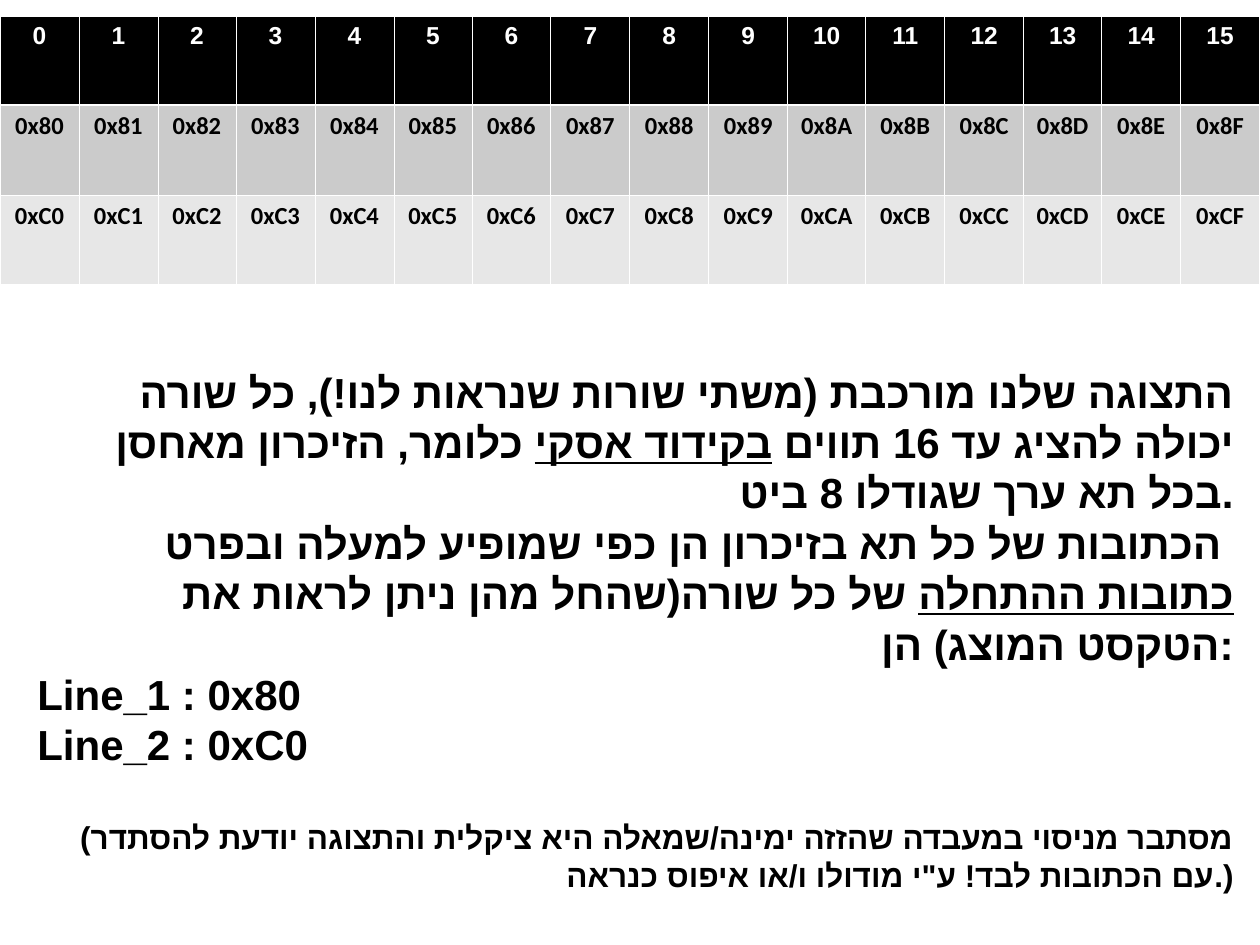
from dataclasses import dataclass
from itertools import pairwise

from lxml import etree
from pptx import Presentation
from pptx import util as u
from pptx.dml import color
from pptx.enum import text
from pptx.oxml import ns


@dataclass(frozen=True)
class Theme:
    """Colours, fonts, type sizes and border widths of the slide."""
    ink: str = "000000"
    paper: str = "FFFFFF"
    dark_band: str = "CBCBCB"
    light_band: str = "E7E7E7"
    body_font: str = "Arial"
    table_font: str = "Calibri"
    body: int = 24
    note: int = 18
    cell: int = 14
    thin: float = 0.45
    thick: float = 1.47


@dataclass(frozen=True)
class Span:
    """A stretch of text in one style."""
    words: str
    bold: bool = True
    underline: bool = False


@dataclass(frozen=True)
class Paragraph:
    """A paragraph of the explanation."""
    spans: tuple[Span, ...]
    size: int
    align: text.PP_ALIGN = text.PP_ALIGN.RIGHT
    space_before: int = 0


@dataclass(frozen=True)
class Row:
    """A row of the display memory table."""
    labels: tuple[str, ...]
    fill: str
    ink: str
    top: float
    bottom: float


THEME = Theme()
COLUMNS = 16
PAGE_WIDTH, PAGE_HEIGHT = 1260, 945
TABLE_TOP, TABLE_HEIGHT = 16, 268

ROWS = (
    Row(tuple(str(i) for i in range(COLUMNS)), THEME.ink, THEME.paper, THEME.thin, THEME.thick),
    Row(tuple(f"0x{0x80 + i:X}" for i in range(COLUMNS)), THEME.dark_band, THEME.ink,
        THEME.thick, THEME.thin),
    Row(tuple(f"0x{0xC0 + i:X}" for i in range(COLUMNS)), THEME.light_band, THEME.ink,
        THEME.thin, THEME.thin),
)

EXPLANATION = (
    Paragraph((
        Span("התצוגה שלנו מורכבת (משתי שורות שנראות לנו!), כל שורה יכולה להציג עד 16 תווים "),
        Span("בקידוד אסקי", underline=True),
        Span(" ", bold=False),
        Span("כלומר, הזיכרון מאחסן בכל תא ערך שגודלו 8 ביט."),
    ), THEME.body),
    Paragraph((Span("הכתובות של כל תא בזיכרון הן כפי שמופיע למעלה ובפרט "),), THEME.body),
    Paragraph((
        Span("כתובות ההתחלה", underline=True),
        Span(" של כל שורה(שהחל מהן ניתן לראות את הטקסט המוצג) הן:"),
    ), THEME.body),
    Paragraph((Span("Line_1 : 0x80"),), THEME.body, text.PP_ALIGN.LEFT),
    Paragraph((Span("Line_2 : 0xC0"),), THEME.body, text.PP_ALIGN.LEFT),
    Paragraph((
        Span("(מסתבר מניסוי במעבדה שהזזה ימינה/שמאלה היא ציקלית והתצוגה יודעת להסתדר "
             "עם הכתובות לבד! ע\"י מודולו ו/או איפוס כנראה.)"),
    ), THEME.note, space_before=28),
)


def px(length: int) -> u.Emu:
    """Turn pixels into EMU."""
    return u.Emu(round(length * 914400 / 126))


def split(total: int, count: int) -> list[int]:
    """Divide a length into nearly equal whole parts."""
    edges = [round(total * i / count) for i in range(count + 1)]
    return [end - start for start, end in pairwise(edges)]


def add_span(para, span: Span, size: int, font: str, ink: str) -> None:
    """Add one styled run, with Arial for complex script."""
    run = para.add_run()
    run.text = span.words
    run.font.name = font
    run.font.size = u.Pt(size)
    run.font.bold = span.bold
    run.font.underline = span.underline
    run.font.color.rgb = color.RGBColor.from_string(ink)
    etree.SubElement(run.font._element, ns.qn("a:cs"), typeface=THEME.body_font)


def add_border(cell, side: str, width: float) -> None:
    """Draw one side of a cell in the paper colour."""
    line = etree.SubElement(cell._tc.get_or_add_tcPr(), ns.qn(f"a:ln{side}"),
                            w=str(u.Pt(width)))
    fill = etree.SubElement(line, ns.qn("a:solidFill"))
    etree.SubElement(fill, ns.qn("a:srgbClr"), val=THEME.paper)


def fill_cell(cell, label: str, row: Row) -> None:
    """Set the borders, fill and label of a cell."""
    for side, width in zip("LRTB", (THEME.thin, THEME.thin, row.top, row.bottom)):
        add_border(cell, side, width)
    cell.fill.solid()
    cell.fill.fore_color.rgb = color.RGBColor.from_string(row.fill)
    para = cell.text_frame.paragraphs[0]
    para.alignment = text.PP_ALIGN.CENTER
    para._p.get_or_add_pPr().set("rtl", "1")
    add_span(para, Span(label), THEME.cell, THEME.table_font, row.ink)


def add_memory_table(page, rows: tuple[Row, ...]) -> None:
    """Draw the table of display addresses."""
    table = page.shapes.add_table(len(rows), COLUMNS, px(0), px(TABLE_TOP),
                                  px(PAGE_WIDTH), px(TABLE_HEIGHT)).table
    for column, width in zip(table.columns, split(PAGE_WIDTH, COLUMNS)):
        column.width = px(width)
    for line, height, row in zip(table.rows, split(TABLE_HEIGHT, len(rows)), rows):
        line.height = px(height)
        for cell, label in zip(line.cells, row.labels):
            fill_cell(cell, label, row)


def add_explanation(page, paragraphs: tuple[Paragraph, ...]) -> None:
    """Write the explanation under the table."""
    frame = page.shapes.add_textbox(px(25), px(360), px(1221), px(580)).text_frame
    frame.word_wrap = True
    frame.auto_size = text.MSO_AUTO_SIZE.SHAPE_TO_FIT_TEXT
    for index, paragraph in enumerate(paragraphs):
        para = frame.add_paragraph() if index else frame.paragraphs[0]
        para.alignment = paragraph.align
        if paragraph.space_before:
            para.space_before = u.Pt(paragraph.space_before)
        for span in paragraph.spans:
            add_span(para, span, paragraph.size, THEME.body_font, THEME.ink)


def main() -> None:
    """Build the slide and save it."""
    deck = Presentation()
    deck.slide_width, deck.slide_height = px(PAGE_WIDTH), px(PAGE_HEIGHT)
    page = deck.slides.add_slide(deck.slide_layouts[6])
    add_memory_table(page, ROWS)
    add_explanation(page, EXPLANATION)
    deck.save("out.pptx")


if __name__ == "__main__":
    main()
